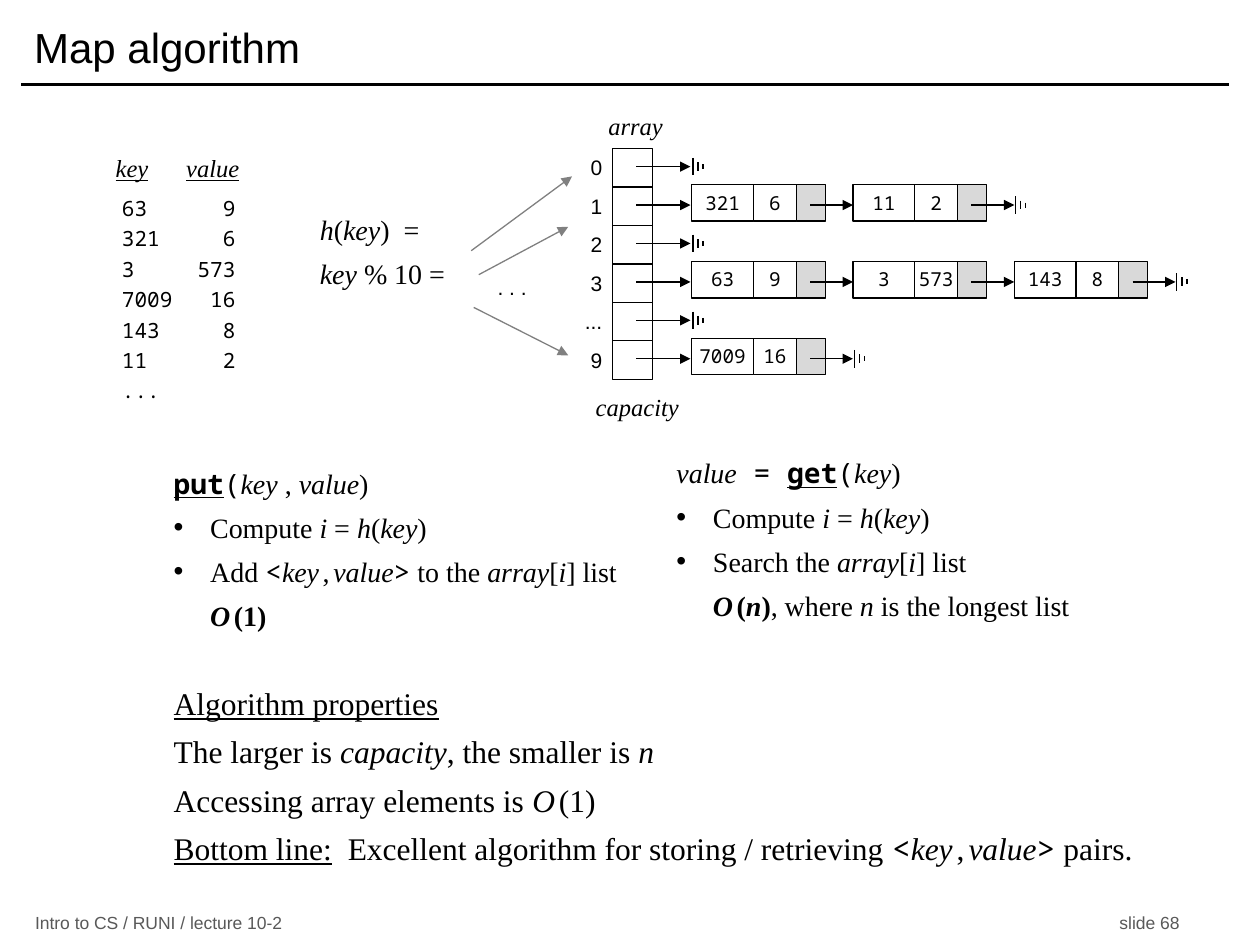
from lxml.etree import SubElement
from pptx import Presentation
from pptx.dml.color import RGBColor
from pptx.enum.shapes import MSO_CONNECTOR as Connector, MSO_SHAPE as Shape
from pptx.enum.text import MSO_ANCHOR as Anchor, PP_ALIGN as Align
from pptx.oxml.ns import qn
from pptx.util import Inches, Pt

BLACK = RGBColor(0, 0, 0)
WHITE = RGBColor(255, 255, 255)
LIGHT = RGBColor(0xD9, 0xD9, 0xD9)
GRAY = RGBColor(0x80, 0x80, 0x80)
FOOTER = RGBColor(0x59, 0x59, 0x59)
SANS, SERIF, MONO = "Arial", "Times New Roman", "Noto Sans Mono"

SLOTS = [
    ("0", []),
    ("1", [("321", "6"), ("11", "2")]),
    ("2", []),
    ("3", [("63", "9"), ("3", "573"), ("143", "8")]),
    ("...", []),
    ("9", [("7009", "16")]),
]
PAIRS = ["63\t9", "321\t6", "3\t573", "7009\t16", "143\t8", "11\t2", "..."]
HASH_ARROWS = [(3.74, 1.99, 4.54, 1.40), (3.80, 2.18, 4.51, 1.80), (3.76, 2.44, 4.51, 2.82)]

PAIR = [("<", "m"), ("key", "i"), (" ", "is"), (",", ""), (" ", "is"), ("value", "i"), (">", "m")]
CONSTANT = [("O", "i"), (" ", "s"), ("(1)", "")]
COMPUTE = [("Compute ", ""), ("i", "i"), (" = ", ""), ("h", "i"), ("(", ""), ("key", "i"), (")", "")]
ARRAY_LIST = [("array", "i"), ("[", ""), ("i", "i"), ("] list", "")]
HASH = [
    [("h", "i"), ("(", ""), ("key", "i"), (")  =", "")],
    [("key", "i"), (" % 10 =", "")],
]
PUT = [
    [("put", "mbu"), ("(", "m"), ("key ", "i"), (", ", ""), ("value", "i"), (")", "")],
    COMPUTE,
    [("Add ", "")] + PAIR + [(" to the ", "")] + ARRAY_LIST,
    [(text, style + "b") for text, style in CONSTANT],
]
GET = [
    [("value", "i"), (" = ", "m"), ("get", "mbu"), ("(", "m"), ("key", "i"), (")", "")],
    COMPUTE,
    [("Search the ", "")] + ARRAY_LIST,
    [("O", "bi"), (" ", "bs"), ("(", "b"), ("n", "bi"), (")", "b"), (", where ", ""),
     ("n", "i"), (" is the longest list", "")],
]
PROPERTIES = [
    [("Algorithm properties", "u")],
    [("The larger is ", ""), ("capacity", "i"), (", the smaller is ", ""), ("n", "i")],
    [("Accessing array elements is ", "")] + CONSTANT,
    [("Bottom line:", "u"), ("  Excellent algorithm for storing / retrieving ", "")]
    + PAIR + [(" pairs.", "")],
]

ARRAY_X, ARRAY_Y, SLOT_W, SLOT_H = 4.86, 1.18, 0.32, 0.305
CHAIN_X, NODE_STEP, NODE_H = 5.49, 1.28, 0.29
KEY_W, VALUE_W, NEXT_W = 0.49, 0.34, 0.23

prs = Presentation()
prs.slide_width, prs.slide_height = Inches(10), Inches(7.5)
slide = prs.slides.add_slide(prs.slide_layouts[5])


def write(frame, paragraphs, size, font=SERIF, color=BLACK, gap=6, align=Align.LEFT):
    for index, runs in enumerate(paragraphs):
        paragraph = frame.paragraphs[0] if index == 0 else frame.add_paragraph()
        paragraph.alignment = align
        paragraph.space_before = Pt(gap if index else 0)
        for text, style in runs:
            run = paragraph.add_run()
            run.text = text
            run.font.name = MONO if "m" in style else font
            run.font.size = Pt(size / 2 if "s" in style else size)
            run.font.bold = "b" in style
            run.font.italic = "i" in style
            run.font.underline = "u" in style
            run.font.color.rgb = color


def set_insets(frame, left=0.1, right=0.1):
    frame.margin_left, frame.margin_right = Inches(left), Inches(right)
    frame.margin_top = frame.margin_bottom = Inches(0.05)
    frame.word_wrap = True


def add_text(x, y, w, h, paragraphs, size, insets=(0.1, 0.1), **look):
    frame = slide.shapes.add_textbox(Inches(x), Inches(y), Inches(w), Inches(h)).text_frame
    set_insets(frame, *insets)
    write(frame, paragraphs, size, **look)
    return frame


def add_cell(x, y, w, h, text="", fill=None):
    cell = slide.shapes.add_shape(Shape.RECTANGLE, Inches(x), Inches(y), Inches(w), Inches(h))
    cell.shadow.inherit = False
    if fill is None:
        cell.fill.background()
    else:
        cell.fill.solid()
        cell.fill.fore_color.rgb = fill
    cell.line.color.rgb = BLACK
    cell.line.width = Pt(0.75)
    if text:
        set_insets(cell.text_frame, 0, 0)
        cell.text_frame.vertical_anchor = Anchor.TOP
        write(cell.text_frame, [[(text, "")]], 11, font=MONO, align=Align.CENTER)


def add_line(x1, y1, x2, y2, color=BLACK, width=0.75, arrow=False):
    line = slide.shapes.add_connector(
        Connector.STRAIGHT, Inches(x1), Inches(y1), Inches(x2), Inches(y2))
    line.line.color.rgb = color
    line.line.width = Pt(width)
    properties = line._element.spPr
    if arrow:
        SubElement(properties.find(qn("a:ln")), qn("a:tailEnd"), type="triangle")
    SubElement(properties, qn("a:effectLst"))


def add_tab(paragraph, position, align):
    tabs = SubElement(paragraph._p.get_or_add_pPr(), qn("a:tabLst"))
    SubElement(tabs, qn("a:tab"), pos=str(Inches(position)), algn=align)


def indent_steps(frame):
    steps = frame.paragraphs[1:]
    for step in steps:
        settings = step._p.get_or_add_pPr()
        settings.set("marL", str(Inches(0.29)))
        if step is not steps[-1]:
            settings.set("indent", str(-Inches(0.29)))
            SubElement(settings, qn("a:buFont"), typeface=SANS)
            SubElement(settings, qn("a:buChar"), char="•")


def add_chain(slot, label, nodes):
    top = ARRAY_Y + slot * SLOT_H
    middle = top + SLOT_H / 2 - 0.01
    add_cell(ARRAY_X, top, SLOT_W, SLOT_H)
    add_text(ARRAY_X - 0.5, top, 0.5, SLOT_H, [[(label, "")]], 12,
             insets=(0, 0.08), font=SANS, align=Align.RIGHT)
    add_line(5.05, middle, CHAIN_X - 0.01, middle, arrow=True)
    x = CHAIN_X
    for key, value in nodes:
        y = top - 0.02
        add_cell(x, y, KEY_W, NODE_H, key)
        add_cell(x + KEY_W, y, VALUE_W, NODE_H, value, WHITE)
        add_cell(x + KEY_W + VALUE_W, y, NEXT_W, NODE_H, fill=LIGHT)
        add_line(x + 0.94, middle, x + NODE_STEP, middle, arrow=True)
        x += NODE_STEP
    for bar, half in enumerate((0.07, 0.035, 0.02)):
        bar_x = x + 0.01 + 0.04 * bar
        add_line(bar_x, middle - half, bar_x, middle + half)


title = slide.shapes.title
title.left, title.top, title.width, title.height = (Inches(v) for v in (0.17, 0.08, 9.58, 0.58))
set_insets(title.text_frame)
title.text_frame.vertical_anchor = Anchor.MIDDLE
write(title.text_frame, [[("Map algorithm", "")]], 24, font=SANS)
add_line(0.17, 0.67, 9.75, 0.67, width=2)

for slot, (label, nodes) in enumerate(SLOTS):
    add_chain(slot, label, nodes)
add_text(4.73, 0.83, 0.74, 0.34, [[("array", "i")]], 14)
add_text(4.63, 3.06, 1.03, 0.34, [[("capacity", "i")]], 14)

header = add_text(0.82, 1.21, 3.17, 0.33, [[("key", "iu"), ("\t", ""), ("value", "iu")]], 14)
header.paragraphs[0].line_spacing = 0.8
add_tab(header.paragraphs[0], 0.56, "l")
pairs = add_text(0.87, 1.5, 2.63, 1.69, [[(pair, "")] for pair in PAIRS], 12, font=MONO, gap=3)
for paragraph in pairs.paragraphs:
    add_tab(paragraph, 0.9, "r")

add_text(2.44, 1.64, 1.25, 0.72, HASH, 16)
add_text(3.76, 2.13, 0.5, 0.3, [[(". . .", "")]], 12,
         insets=(0, 0.08), font=SANS, align=Align.RIGHT)
for ends in HASH_ARROWS:
    add_line(*ends, color=GRAY, arrow=True)

indent_steps(add_text(1.28, 3.65, 3.94, 1.29, PUT, 16))
indent_steps(add_text(5.27, 3.57, 3.39, 1.57, GET, 16))
add_text(1.28, 5.38, 8.31, 1.94, PROPERTIES, 18)

for x, text, align in [(0.18, "Intro to CS / RUNI / lecture 10-2", Align.LEFT),
                       (5.46, "slide 68", Align.RIGHT)]:
    footer = add_text(x, 7.23, 4, 0.19, [[(text, "")]], 10, font=SANS, color=FOOTER, align=align)
    footer.vertical_anchor = Anchor.MIDDLE

prs.save("out.pptx")
